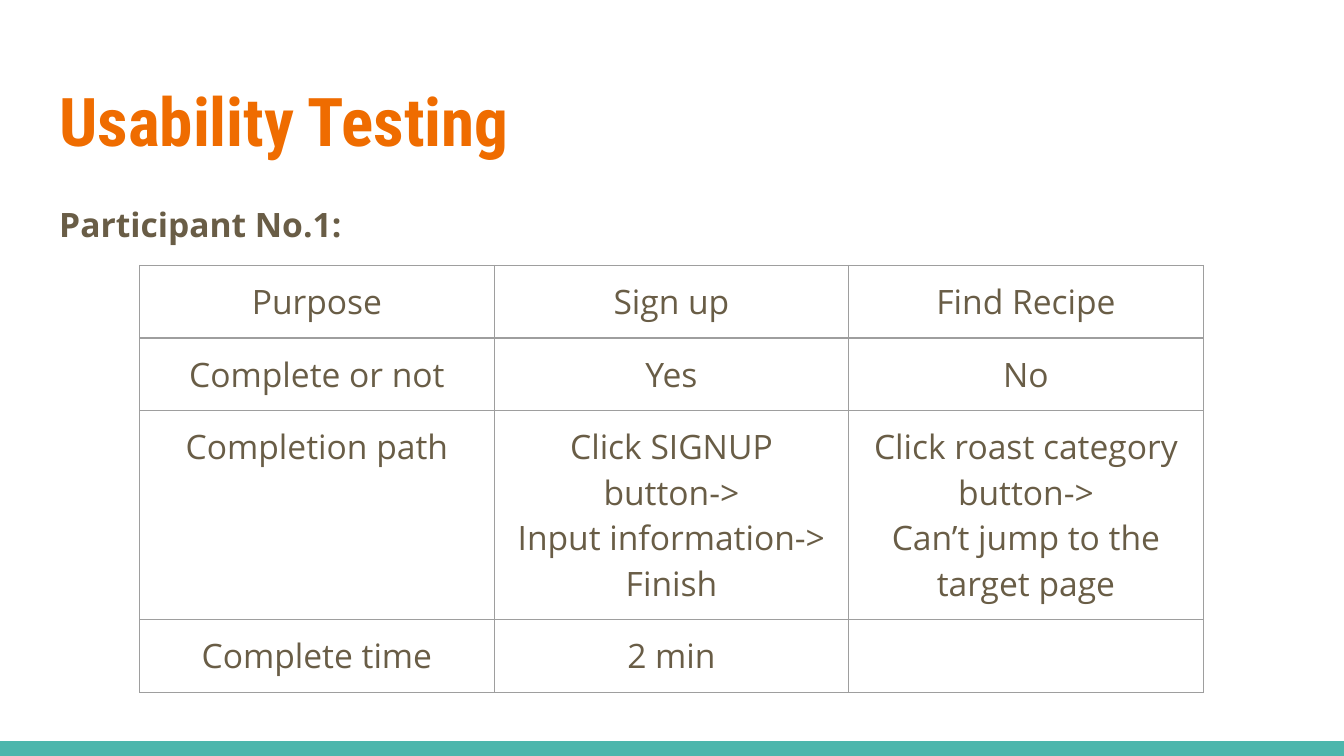
from lxml import etree
from pptx import Presentation
from pptx import util as u
from pptx.dml.color import RGBColor
from pptx.enum import shapes, text
from pptx.oxml.ns import qn

WIDTH, HEIGHT = u.Cm(25.4), u.Cm(14.29)
ORANGE, TEAL, BROWN, GREY = "EF6C00", "4DB6AC", "695D46", "9E9E9E"
PADDING = u.Cm(0.25)
ROWS = [
    [["Purpose"], ["Sign up"], ["Find Recipe"]],
    [["Complete or not"], ["Yes"], ["No"]],
    [
        ["Completion path"],
        ["Click SIGNUP button->", "Input information->", "Finish"],
        ["Click roast category button->", "Can’t jump to the target page"],
    ],
    [["Complete time"], ["2 min"], []],
]
ROW_HEIGHTS = [1.37, 1.37, 3.95, 1.37]


def color(value):
    return RGBColor.from_string(value)


class SlideBuilder:
    body_font = "Open Sans"
    title_font = "Roboto Condensed"

    def __init__(self, presentation):
        self.slide = presentation.slides.add_slide(presentation.slide_layouts[5])

    def add_run(self, paragraph, words, size=18, font=None, fill=BROWN, bold=False):
        run = paragraph.add_run()
        run.text = words
        run.font.name = font or self.body_font
        run.font.size = u.Pt(size)
        run.font.bold = bold
        run.font.color.rgb = color(fill)

    def set_frame(self, frame):
        frame.word_wrap = True
        frame.auto_size = text.MSO_AUTO_SIZE.NONE
        frame.vertical_anchor = text.MSO_ANCHOR.TOP
        frame.margin_left = frame.margin_right = PADDING
        frame.margin_top = frame.margin_bottom = PADDING

    def bar(self, left, top, width, height, fill):
        shape = self.slide.shapes.add_shape(
            shapes.MSO_SHAPE.RECTANGLE, left, top, width, height)
        shape.shadow.inherit = False
        shape.fill.solid()
        shape.fill.fore_color.rgb = color(fill)
        shape.line.fill.background()

    def title(self, words, left, top, width, height):
        shape = self.slide.shapes.title
        shape.left, shape.top, shape.width, shape.height = left, top, width, height
        self.set_frame(shape.text_frame)
        paragraph = shape.text_frame.paragraphs[0]
        paragraph.alignment = text.PP_ALIGN.LEFT
        self.add_run(paragraph, words, 36, self.title_font, ORANGE, True)

    def label(self, words, left, top, width, height):
        frame = self.slide.shapes.add_textbox(left, top, width, height).text_frame
        self.set_frame(frame)
        paragraph = frame.paragraphs[0]
        paragraph.line_spacing = 1.15
        self.add_run(paragraph, words, bold=True)

    def table(self, rows, left, top, column_width, row_heights):
        columns = len(rows[0])
        table = self.slide.shapes.add_table(
            len(rows), columns, left, top,
            column_width * columns, u.Cm(sum(row_heights))).table
        table.first_row = table.horz_banding = False
        for column in table.columns:
            column.width = column_width
        for row, height, contents in zip(table.rows, row_heights, rows):
            row.height = u.Cm(height)
            for cell, lines in zip(row.cells, contents):
                self.fill_cell(cell, lines)

    def fill_cell(self, cell, lines):
        cell.margin_left = cell.margin_right = PADDING
        cell.margin_top = cell.margin_bottom = PADDING
        frame = cell.text_frame
        for index, line in enumerate(lines):
            paragraph = frame.add_paragraph() if index else frame.paragraphs[0]
            paragraph.alignment = text.PP_ALIGN.CENTER
            self.add_run(paragraph, line)
        self.add_borders(cell)
        cell.fill.background()

    def add_borders(self, cell):
        properties = cell._tc.get_or_add_tcPr()
        for side in ("a:lnL", "a:lnR", "a:lnT", "a:lnB"):
            line = etree.SubElement(properties, qn(side), w=str(u.Pt(0.75)))
            fill = etree.SubElement(line, qn("a:solidFill"))
            etree.SubElement(fill, qn("a:srgbClr"), val=GREY)


def main():
    presentation = Presentation()
    presentation.slide_width, presentation.slide_height = WIDTH, HEIGHT
    builder = SlideBuilder(presentation)
    left, width = u.Cm(0.87), u.Cm(23.67)
    bar_height = u.Cm(0.28)
    builder.bar(0, HEIGHT - bar_height, WIDTH, bar_height, TEAL)
    builder.title("Usability Testing", left, u.Cm(1.25), width, u.Cm(1.95))
    builder.label("Participant No.1:", left, u.Cm(3.5), width, u.Cm(9.18))
    builder.table(ROWS, u.Cm(2.64), u.Cm(5.02), u.Cm(6.7), ROW_HEIGHTS)
    presentation.save("out.pptx")


if __name__ == "__main__":
    main()
